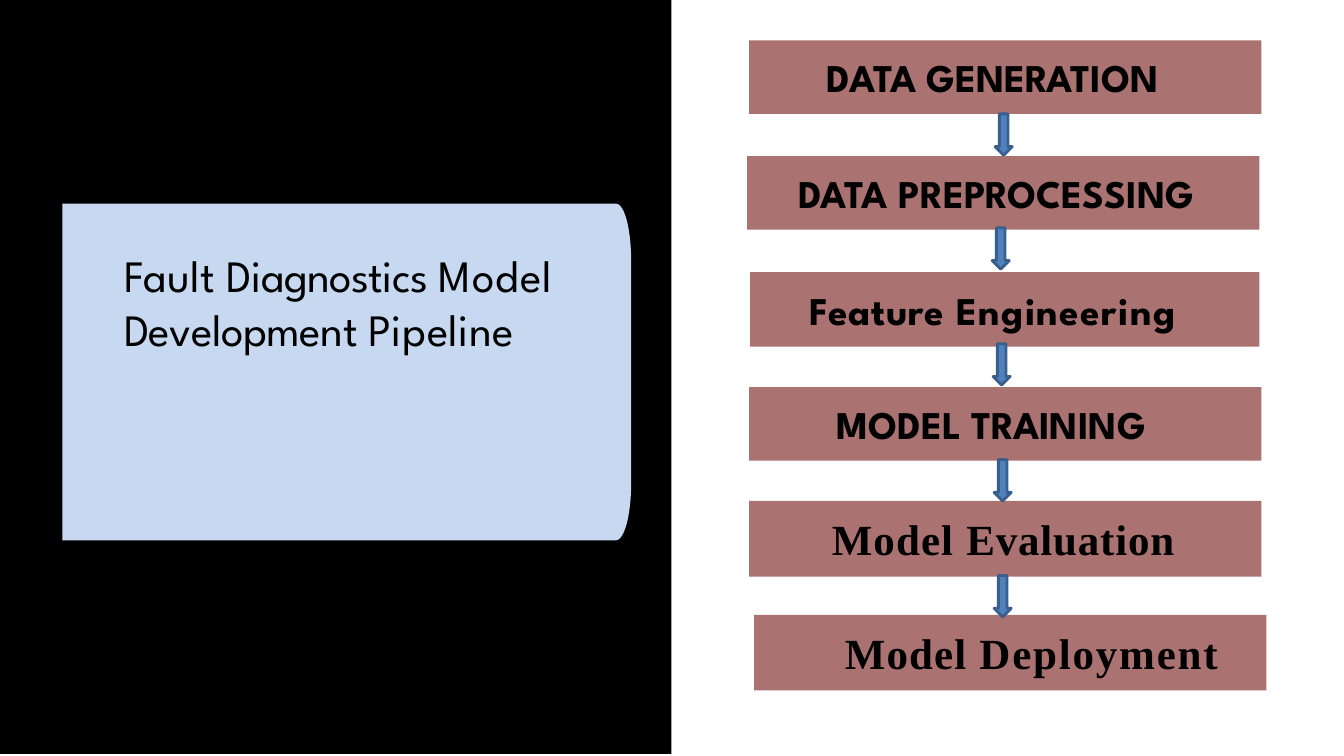
from math import cos, pi, sin

from pptx import Presentation
from pptx.dml.color import RGBColor
from pptx.enum.shapes import MSO_SHAPE
from pptx.enum.text import MSO_ANCHOR, MSO_AUTO_SIZE, PP_ALIGN
from pptx.util import Inches, Pt


def paint(shape, fill, line=None):
    shape.shadow.inherit = False
    shape.fill.solid()
    shape.fill.fore_color.rgb = RGBColor.from_string(fill)
    if line:
        shape.line.color.rgb = RGBColor.from_string(line)
        shape.line.width = Pt(2)
    else:
        shape.line.fill.background()


def write(paragraph, pieces, font_name, size, bold):
    paragraph.alignment = PP_ALIGN.LEFT
    for text, spacing in pieces:
        run = paragraph.add_run()
        run.text = text
        run.font.name = font_name
        run.font.size = Pt(size)
        run.font.bold = bold
        run.font.color.rgb = RGBColor.from_string("000000")
        run.font._element.set("spc", str(round(spacing * 100)))


presentation = Presentation()
presentation.slide_width = Inches(13.33)
presentation.slide_height = Inches(7.5)
slide = presentation.slides.add_slide(presentation.slide_layouts[5])
shapes = slide.shapes

backdrop = shapes.add_shape(MSO_SHAPE.RECTANGLE, 0, 0, Inches(6.66), Inches(7.48))
paint(backdrop, "000000")

left, top, right, bottom = 0.62, 2.02, 6.26, 5.36
corner_width, corner_height = 0.15, 0.56
angles = [pi / 2 * step / 12 for step in range(13)]
upper_corner = [
    (right - corner_width * (1 - sin(angle)), top + corner_height * (1 - cos(angle)))
    for angle in angles
]
lower_corner = [(x, top + bottom - y) for x, y in reversed(upper_corner)]
outline = [
    (Inches(x), Inches(y)) for x, y in upper_corner + lower_corner + [(left, bottom)]
]
builder = shapes.build_freeform(Inches(left), Inches(top))
builder.add_line_segments(outline, close=True)
paint(builder.convert_to_shape(), "C6D9F1")

title = shapes.title
title.left, title.top = Inches(1.13), Inches(2.41)
title.width, title.height = Inches(4.55), Inches(2.56)
title_frame = title.text_frame
title_frame.word_wrap = True
title_frame.auto_size = MSO_AUTO_SIZE.NONE
title_frame.vertical_anchor = MSO_ANCHOR.TOP
title_pieces = [
    ("Fault ", 0.3),
    ("Diagnostics ", -0.4),
    ("Model ", 0.7),
    ("Development ", -0.3),
    ("Pipeline", 0.4),
]
write(title_frame.paragraphs[0], title_pieces, "League Spartan", 32, False)
shapes._spTree.append(title._element)

sans = ("League Spartan", 28)
serif = ("Times New Roman", 30.7)
steps = [
    (7.43, 0.4, 5.08, 0.73, 8.2, sans, [("DATA GENERATION", 0)]),
    (7.41, 1.55, 5.08, 0.73, 7.92, sans, [("DATA PREPROCESSING", 0)]),
    (7.44, 2.7, 5.05, 0.74, 8.03, sans, [("Feature ", 0.6), ("Engineering", 1.1)]),
    (7.43, 3.84, 5.08, 0.73, 8.3, sans, [("MODEL TRAINING", 0)]),
    (7.43, 4.97, 5.08, 0.75, 8.25, serif, [("Model ", 0.8), ("Evaluation", 0.6)]),
    (7.48, 6.1, 5.08, 0.75, 8.38, serif, [("Model ", 0.8), ("Deployment", 1.3)]),
]
for left, top, width, height, text_left, (font_name, size), pieces in steps:
    box = shapes.add_shape(
        MSO_SHAPE.RECTANGLE, Inches(left), Inches(top), Inches(width), Inches(height)
    )
    paint(box, "AB7272")
    frame = box.text_frame
    frame.word_wrap = True
    frame.vertical_anchor = MSO_ANCHOR.MIDDLE
    frame.margin_left = Inches(text_left - left)
    frame.margin_top = frame.margin_right = frame.margin_bottom = 0
    write(frame.paragraphs[0], pieces, font_name, size, True)

arrows = [(9.87, 1.13), (9.84, 2.26), (9.85, 3.41), (9.86, 4.56), (9.86, 5.71)]
for left, top in arrows:
    arrow = shapes.add_shape(
        MSO_SHAPE.DOWN_ARROW, Inches(left), Inches(top), Inches(0.17), Inches(0.41)
    )
    paint(arrow, "4F81BD", "3A5F8C")

presentation.save("out.pptx")
